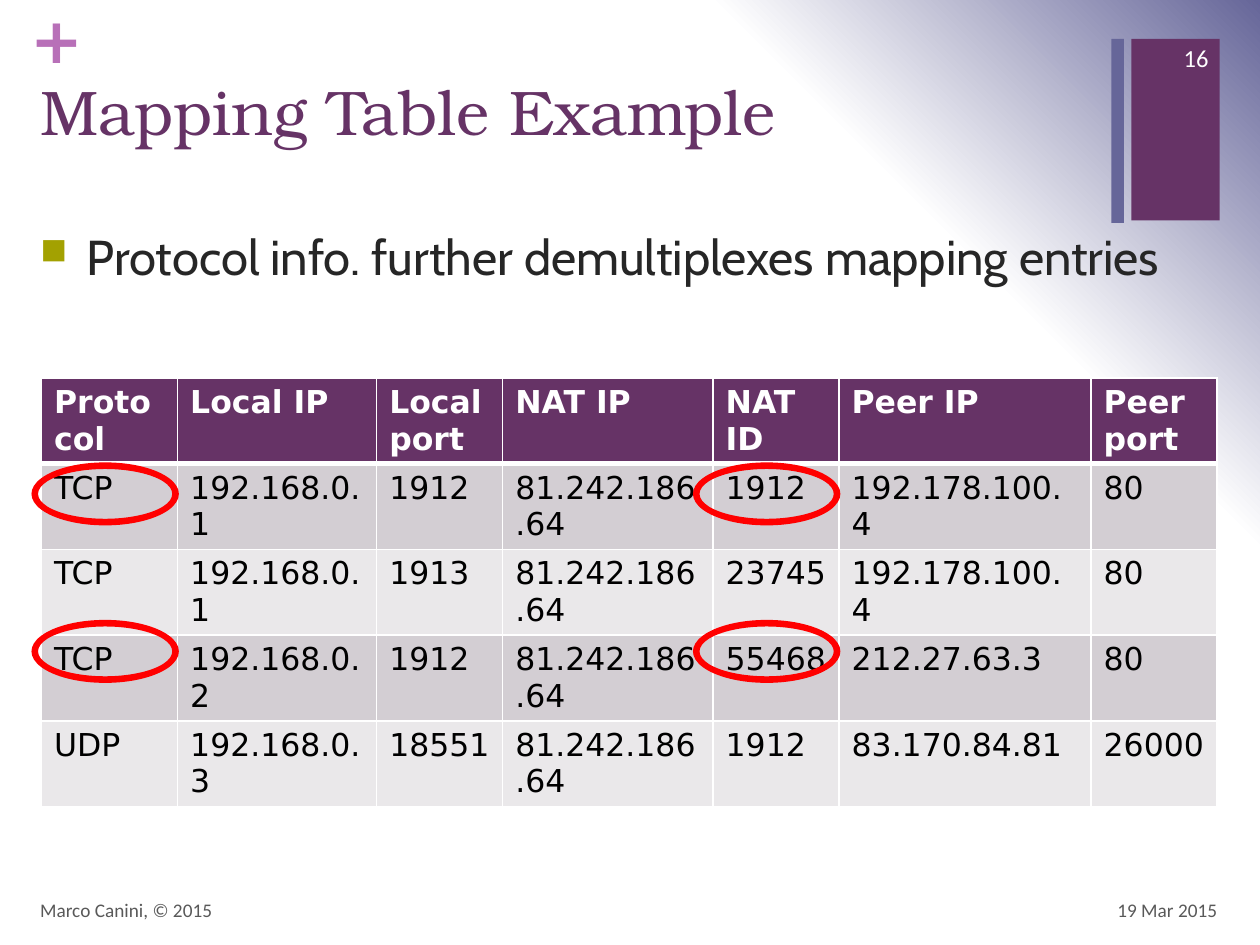
from typing import NamedTuple

from lxml import etree
from pptx import Presentation
from pptx.dml.color import RGBColor
from pptx.enum.shapes import MSO_SHAPE as Shape
from pptx.enum.text import MSO_ANCHOR as Anchor, PP_ALIGN as Align
from pptx.oxml import parse_xml
from pptx.oxml.ns import nsdecls, qn
from pptx.util import Inches, Pt

PLUM, SLATE, WHITE, RED = "663366", "666699", "FFFFFF", "FF0000"
GREY, BLACK = "595959", "000000"
BAND_FILLS = ("D3CED3", "EAE8EA")


class Box(NamedTuple):
    left: float
    top: float
    width: float
    height: float

    def lengths(self):
        return [Inches(value) for value in self]


COLUMN_WIDTHS = (1.08, 1.58, 1, 1.67, 1, 2, 1)
ROW_HEIGHT = 0.41
CELL_BOTTOM_MARGIN = 0.03  # leaves room for the borders, so two-line rows stay 0.68 high
HEADER = ("Protocol", "Local IP", "Local port", "NAT IP", "NAT ID", "Peer IP", "Peer port")
NAT_IP = "81.242.186.64"
MAPPINGS = (
    ("TCP", "192.168.0.1", "1912", NAT_IP, "1912", "192.178.100.4", "80"),
    ("TCP", "192.168.0.1", "1913", NAT_IP, "23745", "192.178.100.4", "80"),
    ("TCP", "192.168.0.2", "1912", NAT_IP, "55468", "212.27.63.3", "80"),
    ("UDP", "192.168.0.3", "18551", NAT_IP, "1912", "83.170.84.81", "26000"),
)


def rgb(colour: str) -> RGBColor:
    return RGBColor.from_string(colour)


def write(frame, text: str, *, size: float, font: str, colour: str,
          bold: bool = False, align=Align.LEFT):
    """Fill the first paragraph of a text frame and return it."""
    paragraph = frame.paragraphs[0]
    paragraph.alignment = align
    run = paragraph.add_run()
    run.text = text
    run.font.size = Pt(size)
    run.font.name = font
    run.font.bold = bold
    run.font.color.rgb = rgb(colour)
    return paragraph


def add_text(slide, box: Box, text: str, *, anchor=Anchor.TOP, inset: bool = True, **style):
    frame = slide.shapes.add_textbox(*box.lengths()).text_frame
    frame.word_wrap = True
    frame.vertical_anchor = anchor
    if not inset:
        frame.margin_left = frame.margin_top = frame.margin_right = frame.margin_bottom = 0
    return write(frame, text, **style)


def add_solid(slide, kind, box: Box, colour: str):
    shape = slide.shapes.add_shape(kind, *box.lengths())
    shape.shadow.inherit = False
    shape.fill.solid()
    shape.fill.fore_color.rgb = rgb(colour)
    shape.line.fill.background()
    return shape


def paint_background(slide) -> None:
    """Shade from white at bottom left to slate at top right."""
    fill = slide.background.fill
    fill.gradient()
    stops = "".join(
        f'<a:gs pos="{percent * 1000}"><a:srgbClr val="{colour}"/></a:gs>'
        for percent, colour in ((0, WHITE), (75, WHITE), (100, SLATE)))
    gradient = parse_xml(
        f'<a:gradFill {nsdecls("a")} rotWithShape="1"><a:gsLst>{stops}</a:gsLst>'
        '<a:path path="circle"><a:fillToRect t="100000" r="100000"/></a:path></a:gradFill>')
    old = slide.background._cSld.find(".//" + qn("a:gradFill"))
    old.getparent().replace(old, gradient)


def add_bullet(paragraph, mark: str, colour: str, percent: int, indent: float) -> None:
    properties = paragraph._p.get_or_add_pPr()
    properties.set("marL", str(Inches(indent)))
    properties.set("indent", str(-Inches(indent)))
    bullet_colour = etree.SubElement(properties, qn("a:buClr"))
    etree.SubElement(bullet_colour, qn("a:srgbClr"), val=colour)
    etree.SubElement(properties, qn("a:buSzPct"), val=str(percent * 1000))
    etree.SubElement(properties, qn("a:buChar"), char=mark)


def border_cell(cell, bottom: float) -> None:
    """Draw white borders, 1 pt except at the bottom."""
    properties = cell._tc.get_or_add_tcPr()
    for side, width in (("L", 1), ("R", 1), ("T", 1), ("B", bottom)):
        line = etree.SubElement(properties, qn(f"a:ln{side}"), w=str(Pt(width)))
        fill = etree.SubElement(line, qn("a:solidFill"))
        etree.SubElement(fill, qn("a:srgbClr"), val=WHITE)


def add_mapping_table(slide) -> None:
    rows = (HEADER, *MAPPINGS)
    box = Box(0.33, 3, sum(COLUMN_WIDTHS), ROW_HEIGHT * len(rows))
    table = slide.shapes.add_table(len(rows), len(HEADER), *box.lengths()).table
    for column, width in zip(table.columns, COLUMN_WIDTHS):
        column.width = Inches(width)
    for r, values in enumerate(rows):
        is_header = r == 0
        fill = PLUM if is_header else BAND_FILLS[(r - 1) % 2]
        for c, value in enumerate(values):
            cell = table.cell(r, c)
            cell.margin_bottom = Inches(CELL_BOTTOM_MARGIN)
            border_cell(cell, bottom=3 if is_header else 1)
            cell.fill.solid()
            cell.fill.fore_color.rgb = rgb(fill)
            write(cell.text_frame, value, size=18, font="DejaVu Sans",
                  colour=WHITE if is_header else BLACK, bold=is_header)


def main() -> None:
    deck = Presentation()
    deck.slide_width, deck.slide_height = Inches(10), Inches(7.5)
    slide = deck.slides.add_slide(deck.slide_layouts[6])
    paint_background(slide)

    add_solid(slide, Shape.RECTANGLE, Box(8.98, 0.31, 0.7, 1.44), PLUM)
    add_text(slide, Box(0.24, 0, 0.29, 0.61), "+", inset=False,
             size=36, font="DejaVu Sans", colour="B870B8", bold=True)
    add_solid(slide, Shape.RECTANGLE, Box(8.82, 0.31, 0.1, 1.46), SLATE)

    add_text(slide, Box(0.22, 0.53, 8.59, 1.22), "Mapping Table Example",
             size=36, font="TeX Gyre Bonum", colour=PLUM)
    point = add_text(slide, Box(0.22, 1.75, 9.54, 5.27),
                     "Protocol info. further demultiplexes mapping entries",
                     size=28, font="Cabin", colour="262626")
    point.space_before = Pt(20)
    add_bullet(point, "■", "A3A101", percent=75, indent=0.37)

    add_mapping_table(slide)
    for left in (0.25, 5.5):
        for top in (3.67, 4.92):
            ring = add_solid(slide, Shape.DONUT, Box(left, top, 1.17, 0.5), RED)
            ring.adjustments[0] = 0.105

    footer = dict(anchor=Anchor.MIDDLE, size=11, font="Calibri", colour=GREY)
    add_text(slide, Box(7.43, 7.02, 2.33, 0.4), "19 Mar 2015", align=Align.RIGHT, **footer)
    add_text(slide, Box(0.22, 7.02, 6.7, 0.4), "Marco Canini, © 2015", **footer)
    add_text(slide, Box(9.08, 0.26, 0.61, 0.4), "16", anchor=Anchor.MIDDLE,
             size=14, font="Calibri", colour=WHITE, align=Align.RIGHT)
    deck.save("out.pptx")


if __name__ == "__main__":
    main()
